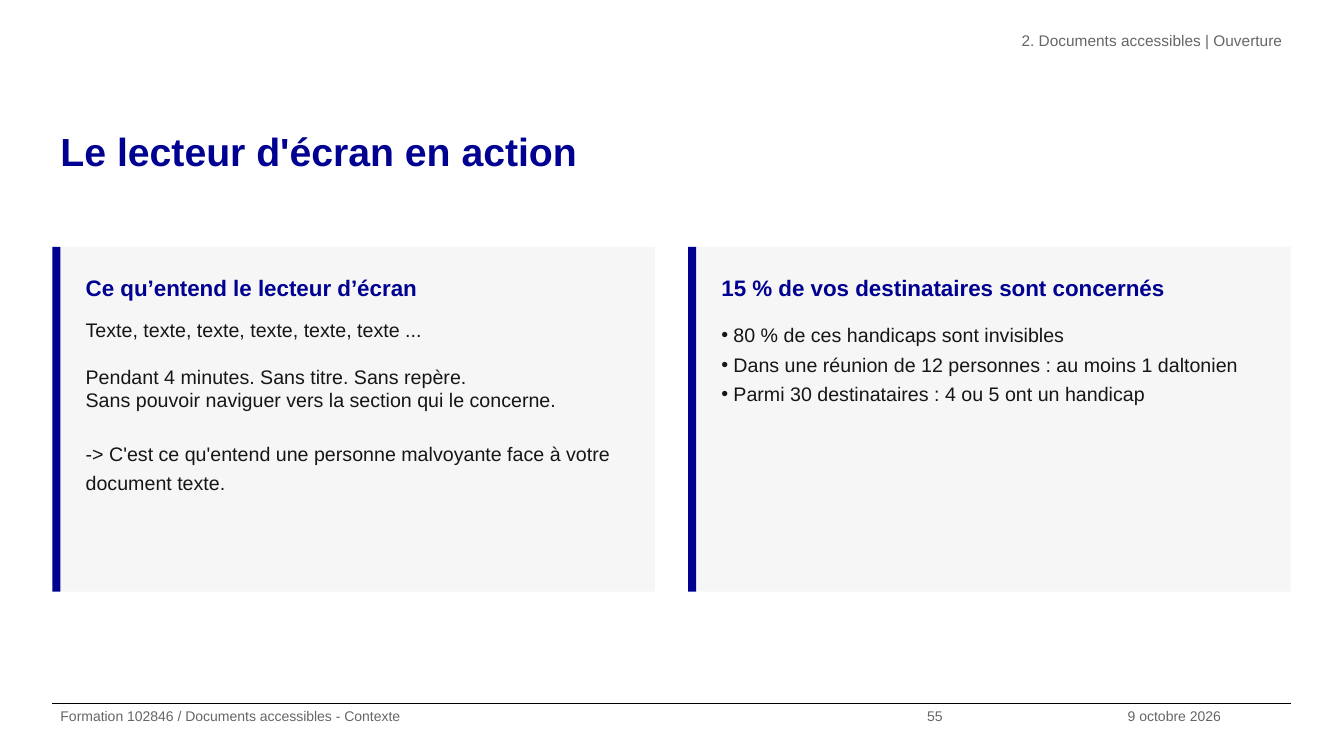
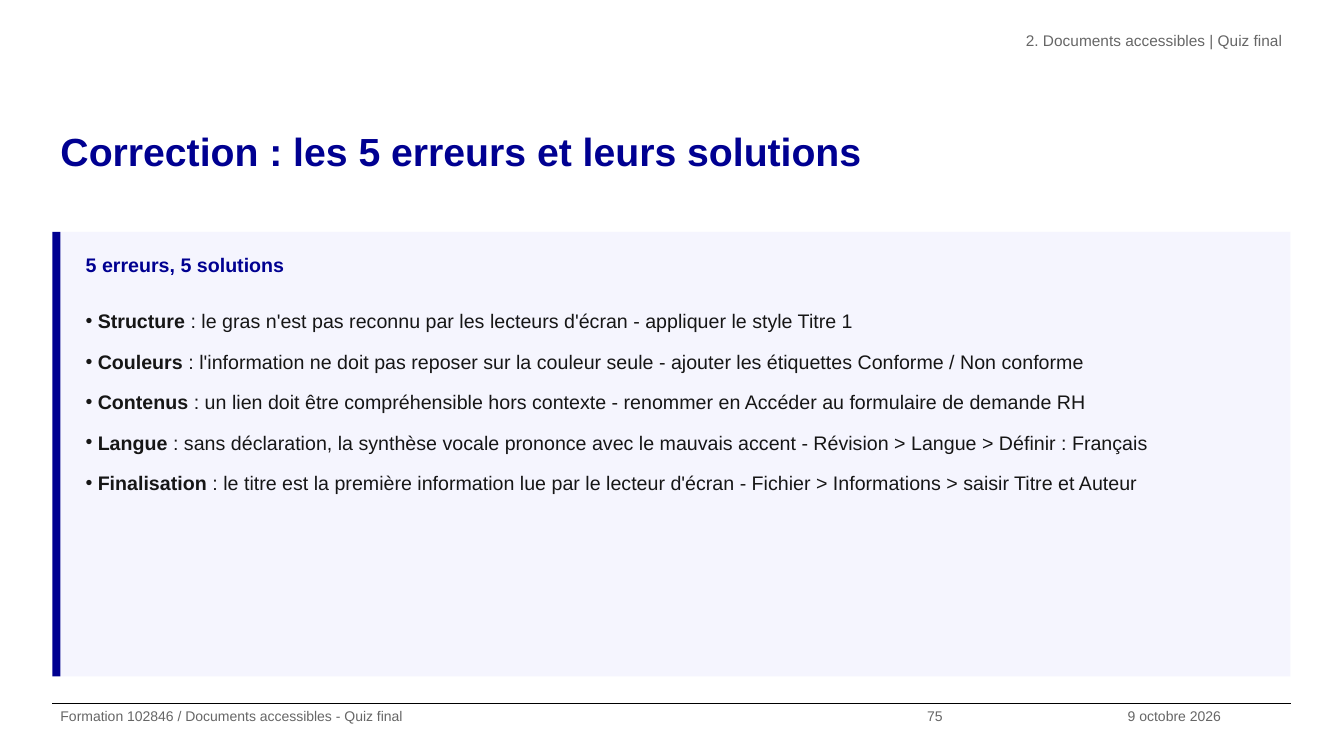
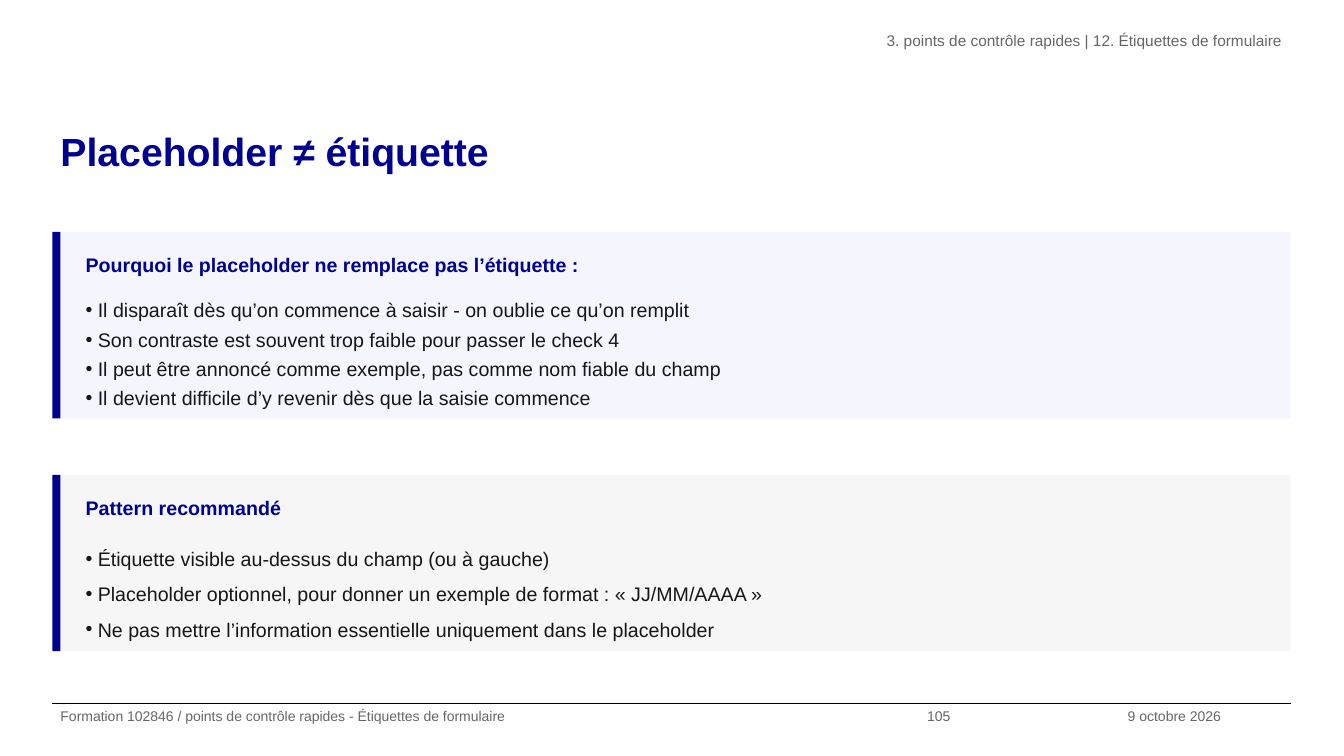
from lxml import etree
from pptx import Presentation
from pptx.dml.color import RGBColor
from pptx.enum.shapes import MSO_CONNECTOR, MSO_SHAPE
from pptx.enum.text import MSO_ANCHOR, MSO_AUTO_SIZE, PP_ALIGN
from pptx.oxml.ns import qn
from pptx.util import Inches, Pt

RECTANGLE = MSO_SHAPE.RECTANGLE
STRAIGHT = MSO_CONNECTOR.STRAIGHT
TOP = MSO_ANCHOR.TOP
NO_FIT = MSO_AUTO_SIZE.NONE
LEFT, RIGHT = PP_ALIGN.LEFT, PP_ALIGN.RIGHT

COLOURS = {
    "blue": "000091",
    "ink": "161616",
    "muted": "666666",
    "grey": "F6F6F6",
    "lavender": "F5F5FE",
    "rule": "000000",
}
FONT = "Arial"
WIDTH, HEIGHT = 13.33, 7.5
ROW = 0.1
MARGIN = 0.52
CONTENT = 12.28
GUTTER = 0.33
BAR = 0.08
INDENT = 0.12
PADDING = 0.25
FOOTER_ROW = 69.8
DATE = "9 octobre 2026"


def colour(name):
    """Return the named palette colour."""
    return RGBColor.from_string(COLOURS[name])


def columns(count):
    """Return the left and width of each of count equal columns."""
    width = (CONTENT - (count - 1) * GUTTER) / count
    return [(MARGIN + index * (width + GUTTER), width) for index in range(count)]


class Deck:
    """Hold the presentation style and the current slide."""

    def __init__(self):
        """Start an empty widescreen presentation."""
        self.presentation = Presentation()
        self.presentation.slide_width = Inches(WIDTH)
        self.presentation.slide_height = Inches(HEIGHT)
        self.layout = self.presentation.slide_layouts[5]
        self.slide = None

    def new_slide(self, title, header, footer, number):
        """Add a slide with its title, header, rule and footer."""
        self.slide = self.presentation.slides.add_slide(self.layout)
        placeholder = self.slide.shapes.title
        box = {"left": MARGIN, "top": 11.5 * ROW, "width": CONTENT, "height": 10.5 * ROW}
        for name, value in box.items():
            setattr(placeholder, name, Inches(value))
        self.fill_text(placeholder, [title], 28, "blue", bold=True, inset=0)
        self.band(header, 0.35, 0.65, 2.6, 11, RIGHT)
        self.rule()
        for text, start, share in (
            (footer, 0, 0.7), (number, 0.7, 0.16), (DATE, 0.862, 0.138)
        ):
            self.band(text, start, share, FOOTER_ROW, 10)

    def band(self, text, start, share, row, size, align=LEFT):
        """Place muted text by shares of the content width."""
        self.text(MARGIN + start * CONTENT, row * ROW, share * CONTENT, 5.2 * ROW,
                  [text], size, "muted", align=align, inset=0)

    def rule(self):
        """Draw the line above the footer."""
        y = Inches(FOOTER_ROW * ROW)
        line = self.slide.shapes.add_connector(
            STRAIGHT, Inches(MARGIN), y, Inches(MARGIN + CONTENT), y)
        line.line.color.rgb = colour("rule")
        line.line.width = Pt(0.8)
        etree.SubElement(line._element.spPr, qn("a:effectLst"))

    def rectangle(self, left, top, width, height, fill):
        """Draw a plain filled rectangle."""
        shape = self.slide.shapes.add_shape(
            RECTANGLE, *map(Inches, (left, top, width, height)))
        shape.shadow.inherit = False
        shape.fill.solid()
        shape.fill.fore_color.rgb = colour(fill)
        shape.line.fill.background()

    def text(self, left, top, width, height, items, size, ink, **options):
        """Place a text box."""
        shape = self.slide.shapes.add_textbox(*map(Inches, (left, top, width, height)))
        self.fill_text(shape, items, size, ink, **options)

    def fill_text(self, shape, items, size, ink, bold=False, align=LEFT, inset=0.05,
                  spacing=1.25, bullets=False):
        """Set items, each a text, a (strong, rest) pair or a dict with a format."""
        frame = shape.text_frame
        frame_format = {
            "word_wrap": True, "auto_size": NO_FIT, "vertical_anchor": TOP,
            "margin_left": Inches(0.08), "margin_right": Inches(0.08),
            "margin_top": Inches(inset), "margin_bottom": Inches(inset),
        }
        for name, value in frame_format.items():
            setattr(frame, name, value)
        for index, item in enumerate(items):
            paragraph = frame.add_paragraph() if index else frame.paragraphs[0]
            if bullets:
                self.bullet(paragraph)
            paragraph_format = {"alignment": align, "line_spacing": spacing,
                                "space_before": Pt(0), "space_after": Pt(0)}
            if isinstance(item, dict):
                paragraph_format.update(item["format"])
                item = item["text"]
            for name, value in paragraph_format.items():
                setattr(paragraph, name, value)
            runs = [(item, bold)] if isinstance(item, str) else zip(item, (True, False))
            for words, strong in runs:
                run = paragraph.add_run()
                run.text = words
                font_format = {"name": FONT, "size": Pt(size), "bold": strong}
                for name, value in font_format.items():
                    setattr(run.font, name, value)
                run.font.color.rgb = colour(ink)

    def bullet(self, paragraph):
        """Give a paragraph a round bullet with a hanging indent."""
        properties = paragraph._p.get_or_add_pPr()
        properties.set("marL", str(Inches(INDENT)))
        properties.set("indent", str(-Inches(INDENT)))
        etree.SubElement(properties, qn("a:buFont")).set("typeface", FONT)
        etree.SubElement(properties, qn("a:buChar")).set("char", "•")

    def panel(self, column, row, rows, fill, heading, items, size=14,
              heading_row=1, body_row=5.5, **options):
        """Draw a panel with a blue side bar, a heading and body text."""
        left, width = column
        top, height = row * ROW, rows * ROW
        self.rectangle(left + BAR, top, width - BAR, height, fill)
        self.rectangle(left, top, BAR, height, "blue")
        inner = (left + PADDING, width - PADDING - ROW)
        self.text(inner[0], top + heading_row * ROW, inner[1],
                  (body_row - heading_row - 0.5) * ROW, [heading], size, "blue", bold=True)
        self.text(inner[0], top + body_row * ROW, inner[1],
                  height - (body_row + 1) * ROW, items, 14, "ink", **options)

    def save(self):
        """Save the presentation."""
        self.presentation.save("out.pptx")


def main():
    """Build the three slides."""
    deck = Deck()
    left, right = columns(2)
    full = columns(1)[0]
    large = {"size": 16, "heading_row": 1.5, "body_row": 6.5}
    gap = {"space_before": Pt(17)}

    deck.new_slide("Le lecteur d'écran en action",
                   "2. Documents accessibles | Ouverture",
                   "Formation 102846 / Documents accessibles - Contexte", "55")
    deck.panel(left, 24.5, 34.2, "grey", "Ce qu’entend le lecteur d’écran", [
        "Texte, texte, texte, texte, texte, texte ...",
        {"text": "Pendant 4 minutes. Sans titre. Sans repère.", "format": gap},
        "Sans pouvoir naviguer vers la section qui le concerne.",
        {"text": "-> C'est ce qu'entend une personne malvoyante face à votre document texte.",
         "format": {**gap, "line_spacing": 1.25}},
    ], spacing=1.0, **large)
    deck.panel(right, 24.5, 34.2, "grey", "15 % de vos destinataires sont concernés", [
        "80 % de ces handicaps sont invisibles",
        "Dans une réunion de 12 personnes : au moins 1 daltonien",
        "Parmi 30 destinataires : 4 ou 5 ont un handicap",
    ], bullets=True, **large)

    deck.new_slide("Correction : les 5 erreurs et leurs solutions",
                   "2. Documents accessibles | Quiz final",
                   "Formation 102846 / Documents accessibles - Quiz final", "75")
    deck.panel(full, 23, 44.1, "lavender", "5 erreurs, 5 solutions", [
        ("Structure", " : le gras n'est pas reconnu par les lecteurs d'écran"
                      " - appliquer le style Titre 1"),
        ("Couleurs", " : l'information ne doit pas reposer sur la couleur seule"
                     " - ajouter les étiquettes Conforme / Non conforme"),
        ("Contenus", " : un lien doit être compréhensible hors contexte"
                     " - renommer en Accéder au formulaire de demande RH"),
        ("Langue", " : sans déclaration, la synthèse vocale prononce avec le mauvais accent"
                   " - Révision > Langue > Définir : Français"),
        ("Finalisation", " : le titre est la première information lue par le lecteur d'écran"
                         " - Fichier > Informations > saisir Titre et Auteur"),
    ], spacing=1.72, bullets=True)

    deck.new_slide("Placeholder ≠ étiquette",
                   "3. points de contrôle rapides | 12. Étiquettes de formulaire",
                   "Formation 102846 / points de contrôle rapides - Étiquettes de formulaire",
                   "105")
    deck.panel(full, 23, 18.5, "lavender",
               "Pourquoi le placeholder ne remplace pas l’étiquette :", [
                   "Il disparaît dès qu’on commence à saisir - on oublie ce qu’on remplit",
                   "Son contraste est souvent trop faible pour passer le check 4",
                   "Il peut être annoncé comme exemple, pas comme nom fiable du champ",
                   "Il devient difficile d’y revenir dès que la saisie commence",
               ], bullets=True)
    deck.panel(full, 47.1, 17.5, "grey", "Pattern recommandé", [
        "Étiquette visible au-dessus du champ (ou à gauche)",
        "Placeholder optionnel, pour donner un exemple de format : « JJ/MM/AAAA »",
        "Ne pas mettre l’information essentielle uniquement dans le placeholder",
    ], spacing=1.5, bullets=True)
    deck.save()


if __name__ == "__main__":
    main()
